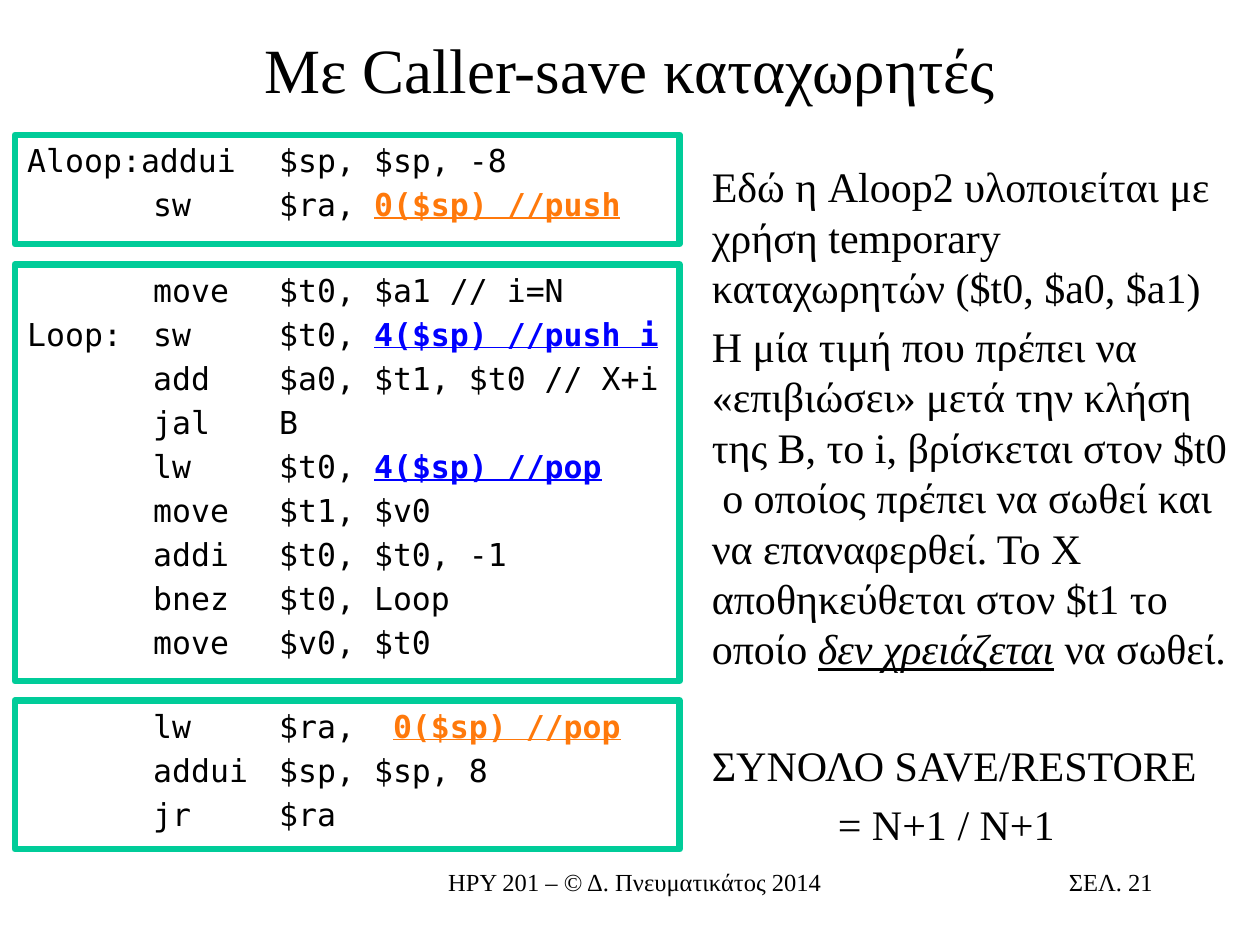
from pptx import Presentation
from pptx.dml.color import RGBColor
from pptx.enum.shapes import MSO_SHAPE
from pptx.enum.text import MSO_ANCHOR, PP_ALIGN
from pptx.oxml.ns import qn
from pptx.util import Cm, Pt
from lxml import etree

BLACK = RGBColor(0x00, 0x00, 0x00)
GREEN = RGBColor(0x00, 0xCC, 0x99)
ORANGE = RGBColor(0xFF, 0x79, 0x0B)
BLUE = RGBColor(0x00, 0x00, 0xFF)

SERIF, MONO = "Times New Roman", "DejaVu Sans Mono"
RETURN_ADDRESS = dict(color=ORANGE, bold=True, underline=True)
SAVED_INDEX = dict(color=BLUE, bold=True, underline=True)
STRESS = dict(italic=True, underline=True)


class Deck:
    """Holds the style and the current slide."""
    tab = 2.54

    def __init__(self, width, height):
        self.prs = Presentation()
        self.prs.slide_width, self.prs.slide_height = Cm(width), Cm(height)
        self.s = self.prs.slides.add_slide(self.prs.slide_layouts[6])

    def add_tabs(self, p):
        tabs = etree.SubElement(p._p.get_or_add_pPr(), qn("a:tabLst"))
        for n in (1, 2):
            etree.SubElement(tabs, qn("a:tab"), pos=str(Cm(n * self.tab)), algn="l")

    def add_lines(self, sp, lines, font, size, align=PP_ALIGN.LEFT,
                  anchor=MSO_ANCHOR.TOP, before=0):
        """Each line is a string or a list of strings and (string, format) pairs."""
        tf = sp.text_frame
        tf.word_wrap, tf.vertical_anchor = True, anchor
        for i, line in enumerate(lines):
            p = tf.paragraphs[0] if i == 0 else tf.add_paragraph()
            p.alignment, p.space_before = align, Pt(before)
            runs = [line] if isinstance(line, str) else line
            if any("\t" in part for part in runs if isinstance(part, str)):
                self.add_tabs(p)
            for part in runs:
                text, changes = (part, {}) if isinstance(part, str) else part
                r = p.add_run()
                r.text = text
                values = dict(name=font, size=Pt(size), color=BLACK) | changes
                r.font.color.rgb = values.pop("color")
                for key, value in values.items():
                    setattr(r.font, key, value)
        return tf

    def text(self, x, y, w, h, lines, size, **style):
        sp = self.s.shapes.add_textbox(Cm(x), Cm(y), Cm(w), Cm(h))
        return self.add_lines(sp, lines, SERIF, size, **style)

    def code(self, y, h, lines):
        sp = self.s.shapes.add_shape(MSO_SHAPE.RECTANGLE, Cm(0.3), Cm(y), Cm(13.4), Cm(h))
        sp.shadow.inherit = False
        sp.fill.background()
        sp.line.color.rgb, sp.line.width = GREEN, Pt(3.75)
        return self.add_lines(sp, lines, MONO, 18, before=3.6)


deck = Deck(25.4, 19.05)

# Title
deck.text(1.9, 0.33, 21.6, 2.1, ["Με Caller-save καταχωρητές"], 36,
          align=PP_ALIGN.CENTER, anchor=MSO_ANCHOR.MIDDLE)

# Code: entry, loop, exit
deck.code(2.72, 2.2, [
    "Αloop:addui\t$sp, $sp, -8",
    ["\tsw\t$ra, ", ("0($sp) //push", RETURN_ADDRESS)],
])
deck.code(5.33, 8.4, [
    "\tmove\t$t0, $a1 // i=N",
    ["Loop:\tsw\t$t0, ", ("4($sp) //push i", SAVED_INDEX)],
    "\tadd\t$a0, $t1, $t0 // X+i",
    "\tjal\tΒ",
    ["\tlw\t$t0, ", ("4($sp) //pop", SAVED_INDEX)],
    "\tmove\t$t1, $v0",
    "\taddi\t$t0, $t0, -1",
    "\tbnez\t$t0, Loop",
    "\tmove\t$v0, $t0",
])
deck.code(14.12, 3, [
    ["\tlw\t$ra,  ", ("0($sp) //pop", RETURN_ADDRESS)],
    "\taddui\t$sp, $sp, 8",
    "\tjr\t$ra",
])

# Explanation, with a wider gap above the total
tf = deck.text(14.1, 3.12, 11, 14.4, [
    "Εδώ η Aloop2 υλοποιείται με χρήση temporary καταχωρητών ($t0, $a0, $a1)",
    ["Η μία τιμή που πρέπει να «επιβιώσει» μετά την κλήση της Β, το i, "
     "βρίσκεται στον $t0  ο οποίος πρέπει να σωθεί και να επαναφερθεί. "
     "Το Χ αποθηκεύθεται στον $t1 το οποίο ",
     ("δεν χρειάζεται", STRESS), " να σωθεί."],
    "ΣΥΝΟΛΟ SAVE/RESTORE",
    "\t= N+1 / N+1",
], 24, before=4.8)
tf.paragraphs[2].space_before = Pt(38)

# Footer
deck.text(7.62, 17.35, 10.36, 1.27, ["ΗΡΥ 201 – © Δ. Πνευματικάτος 2014"], 14,
          align=PP_ALIGN.CENTER)
deck.text(18.21, 17.35, 5.28, 1.27, ["ΣΕΛ. 21"], 14, align=PP_ALIGN.RIGHT)

deck.prs.save("out.pptx")
